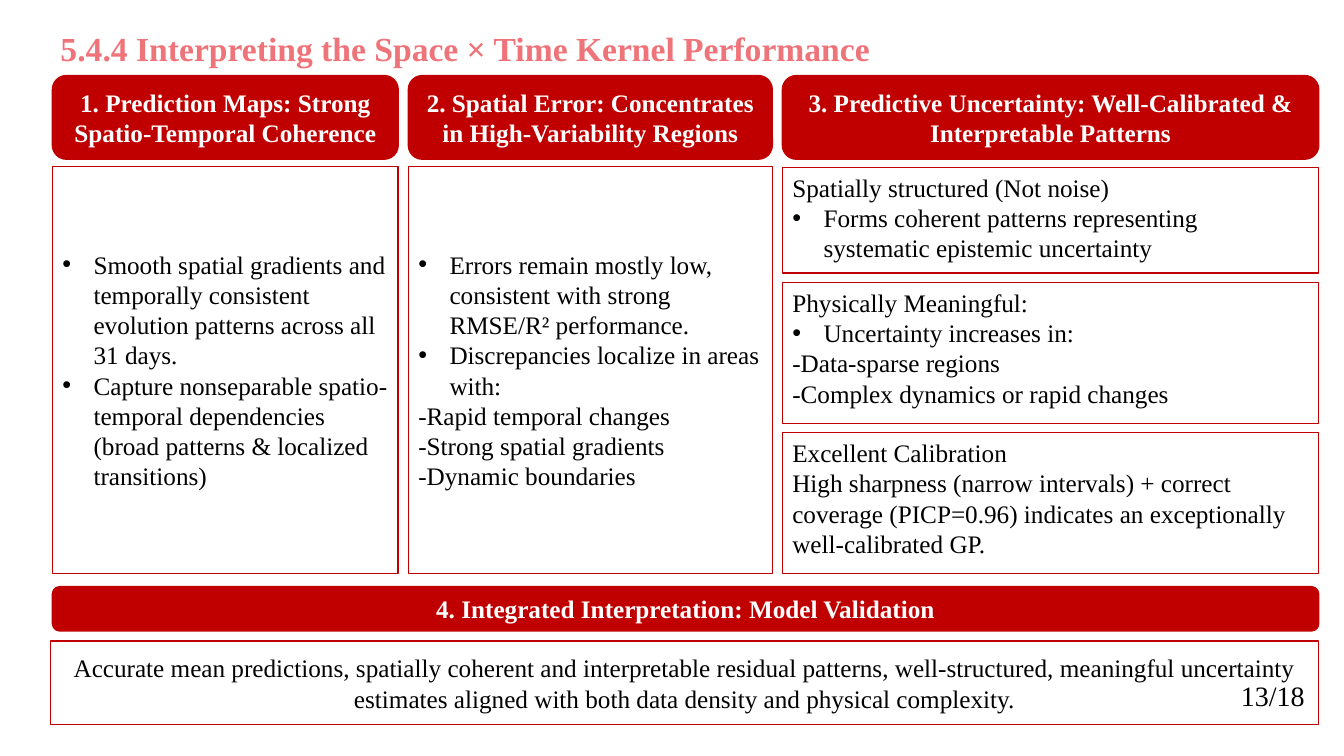
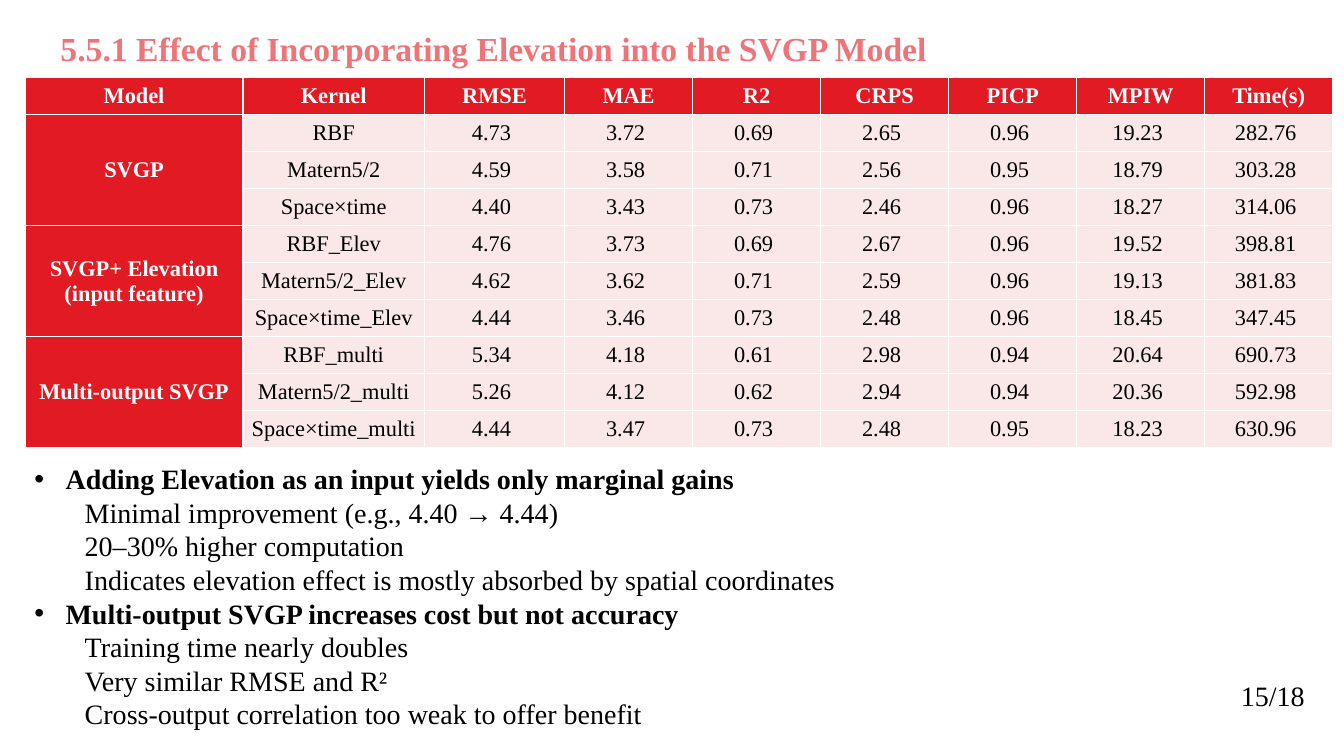
from dataclasses import dataclass

from lxml.etree import SubElement
from pptx import Presentation
from pptx.dml.color import RGBColor
from pptx.enum.shapes import MSO_SHAPE as Preset
from pptx.enum.text import MSO_ANCHOR as Anchor, MSO_AUTO_SIZE as AutoSize, PP_ALIGN as Align
from pptx.oxml.ns import qn
from pptx.util import Inches, Pt


@dataclass(frozen=True)
class Theme:
    font: str = "Times New Roman"
    title_color: str = "EF747A"
    band: str = "C00000"
    table_header: str = "E21A23"
    table_body: str = "FAE8E8"
    light: str = "FFFFFF"
    dark: str = "000000"
    title_size: int = 24
    list_size: int = 20
    box_size: int = 18
    table_size: int = 16
    line_width: int = 1


@dataclass(frozen=True)
class Line:
    text: str
    bullet: bool = False
    indent: float = 0
    bold: bool = False


THEME = Theme()
TITLE_ONLY, TITLE_AND_CONTENT = 5, 1
GAP = 0.1
LEFT = 0.52
COLUMN_WIDTHS = (3.43, 3.61, 5.32)
STACK_TOP, STACK_GAP = 1.66, 0.09
HEADER_TOP, HEADER_HEIGHT = 0.75, 0.83
PANEL_TOP, PANEL_HEIGHT = 1.65, 4.04

HEADERS = (
    "1. Prediction Maps: Strong Spatio-Temporal Coherence",
    "2. Spatial Error: Concentrates in High-Variability Regions",
    "3. Predictive Uncertainty: Well-Calibrated & Interpretable Patterns",
)
PANELS = (
    (
        Line("Smooth spatial gradients and temporally consistent evolution patterns across all 31 days.", bullet=True),
        Line("Capture nonseparable spatio-temporal dependencies (broad patterns & localized transitions)", bullet=True),
    ),
    (
        Line("Errors remain mostly low, consistent with strong RMSE/R² performance.", bullet=True),
        Line("Discrepancies localize in areas with:", bullet=True),
        Line("-Rapid temporal changes"),
        Line("-Strong spatial gradients"),
        Line("-Dynamic boundaries"),
    ),
)
UNCERTAINTY_PANELS = (
    (1.05, (
        Line("Spatially structured (Not noise)"),
        Line("Forms coherent patterns representing systematic epistemic uncertainty", bullet=True),
    )),
    (1.4, (
        Line("Physically Meaningful:"),
        Line("Uncertainty increases in:", bullet=True),
        Line("-Data-sparse regions"),
        Line("-Complex dynamics or rapid changes"),
    )),
    (1.4, (
        Line("Excellent Calibration"),
        Line("High sharpness (narrow intervals) + correct coverage (PICP=0.96) indicates "
             "an exceptionally well-calibrated GP."),
    )),
)
SUMMARY = (
    "Accurate mean predictions, spatially coherent and interpretable residual patterns, "
    "well-structured, meaningful uncertainty estimates aligned with both data density and physical complexity."
)

TABLE_HEADER = ("Model", "Kernel", "RMSE", "MAE", "R2", "CRPS", "PICP", "MPIW", "Time(s)")
TABLE_COLUMNS = (2.16, 1.8, 1.39) + (1.27,) * 6
TABLE_ROW_HEIGHT = 0.367
MODEL_RESULTS = {
    "SVGP": (
        ("RBF", "4.73", "3.72", "0.69", "2.65", "0.96", "19.23", "282.76"),
        ("Matern5/2", "4.59", "3.58", "0.71", "2.56", "0.95", "18.79", "303.28"),
        ("Space×time", "4.40", "3.43", "0.73", "2.46", "0.96", "18.27", "314.06"),
    ),
    "SVGP+ Elevation (input feature)": (
        ("RBF_Elev", "4.76", "3.73", "0.69", "2.67", "0.96", "19.52", "398.81"),
        ("Matern5/2_Elev", "4.62", "3.62", "0.71", "2.59", "0.96", "19.13", "381.83"),
        ("Space×time_Elev", "4.44", "3.46", "0.73", "2.48", "0.96", "18.45", "347.45"),
    ),
    "Multi-output SVGP": (
        ("RBF_multi", "5.34", "4.18", "0.61", "2.98", "0.94", "20.64", "690.73"),
        ("Matern5/2_multi", "5.26", "4.12", "0.62", "2.94", "0.94", "20.36", "592.98"),
        ("Space×time_multi", "4.44", "3.47", "0.73", "2.48", "0.95", "18.23", "630.96"),
    ),
}
FINDINGS = (
    Line("Adding Elevation as an input yields only marginal gains", bullet=True, bold=True),
    Line("Minimal improvement (e.g., 4.40 → 4.44)", indent=0.5),
    Line("20–30% higher computation", indent=0.5),
    Line("Indicates elevation effect is mostly absorbed by spatial coordinates", indent=0.5),
    Line("Multi-output SVGP increases cost but not accuracy", bullet=True, bold=True),
    Line("Training time nearly doubles", indent=0.5),
    Line("Very similar RMSE and R²", indent=0.5),
    Line("Cross-output correlation too weak to offer benefit", indent=0.5),
)


def rgb(color):
    return RGBColor.from_string(color)


def set_bullet(paragraph, line):
    properties = paragraph._p.get_or_add_pPr()
    hanging = 0.31 if line.bullet else 0
    properties.set("marL", str(Inches(hanging or line.indent)))
    properties.set("indent", str(-Inches(hanging)))
    if line.bullet:
        SubElement(properties, qn("a:buFont"), typeface="Arial")
        SubElement(properties, qn("a:buChar"), char="•")
    else:
        SubElement(properties, qn("a:buNone"))


def write_text(frame, content, size, color=THEME.dark, bold=False, align=Align.LEFT,
               anchor=Anchor.TOP, spacing=None):
    frame.word_wrap = True
    frame.auto_size = AutoSize.NONE
    frame.vertical_anchor = anchor
    lines = (Line(content),) if isinstance(content, str) else content
    for index, line in enumerate(lines):
        paragraph = frame.add_paragraph() if index else frame.paragraphs[0]
        paragraph.alignment = align
        paragraph.line_spacing = spacing
        paragraph.space_before = Pt(0)
        paragraph.level = 1 if line.indent else 0
        set_bullet(paragraph, line)
        run = paragraph.add_run()
        run.text = line.text
        run.font.name = THEME.font
        run.font.size = Pt(size)
        run.font.bold = bold or line.bold
        run.font.color.rgb = rgb(color)


def place(shape, left, top, width, height):
    shape.left, shape.top, shape.width, shape.height = map(Inches, (left, top, width, height))


def add_slide(presentation, layout, title):
    slide = presentation.slides.add_slide(presentation.slide_layouts[layout])
    place(slide.shapes.title, 0.5, 0.13, 12.33, 0.74)
    write_text(slide.shapes.title.text_frame, title, THEME.title_size, color=THEME.title_color,
               bold=True, anchor=Anchor.MIDDLE, spacing=0.9)
    return slide


def add_page_number(slide, text):
    box = slide.shapes.add_textbox(*map(Inches, (8.6, 6.68, 4.44, 0.44)))
    write_text(box.text_frame, text, THEME.list_size, align=Align.RIGHT)


def add_box(slide, preset, bounds, fill, content, **text_format):
    shape = slide.shapes.add_shape(preset, *map(Inches, bounds))
    shape.shadow.inherit = False
    shape.fill.solid()
    shape.fill.fore_color.rgb = rgb(fill)
    shape.line.color.rgb = rgb(THEME.band)
    shape.line.width = Pt(THEME.line_width)
    write_text(shape.text_frame, content, THEME.box_size, **text_format)


def add_band(slide, bounds, text):
    add_box(slide, Preset.ROUNDED_RECTANGLE, bounds, THEME.band, text, color=THEME.light,
            bold=True, align=Align.CENTER, anchor=Anchor.MIDDLE)


def add_panel(slide, bounds, content, **text_format):
    add_box(slide, Preset.RECTANGLE, bounds, THEME.light, content, **text_format)


def set_borders(cell):
    properties = cell._tc.get_or_add_tcPr()
    for side in ("lnL", "lnR", "lnT", "lnB"):
        border = SubElement(properties, qn(f"a:{side}"), w=str(Pt(THEME.line_width)))
        SubElement(SubElement(border, qn("a:solidFill")), qn("a:srgbClr"), val=THEME.light)


def format_cell(cell, text, heading, numeric):
    set_borders(cell)
    cell.fill.solid()
    cell.fill.fore_color.rgb = rgb(THEME.table_header if heading else THEME.table_body)
    cell.margin_left = Inches(0.07)
    cell.margin_right = Inches(0.13 if numeric else 0.07)
    cell.margin_top = cell.margin_bottom = Inches(0.05)
    cell.vertical_anchor = Anchor.MIDDLE
    if text:
        paragraph = cell.text_frame.paragraphs[0]
        paragraph.alignment = Align.CENTER
        run = paragraph.add_run()
        run.text = text
        run.font.name = THEME.font
        run.font.size = Pt(THEME.table_size)
        run.font.bold = heading
        run.font.color.rgb = rgb(THEME.light if heading else THEME.dark)


def add_results_table(slide):
    rows = [TABLE_HEADER]
    merges = []
    for model, results in MODEL_RESULTS.items():
        merges.append((len(rows), len(rows) + len(results) - 1))
        rows += [("" if index else model, *result) for index, result in enumerate(results)]
    bounds = (0.25, 0.77, sum(TABLE_COLUMNS), TABLE_ROW_HEIGHT * len(rows))
    table = slide.shapes.add_table(len(rows), len(TABLE_COLUMNS), *map(Inches, bounds)).table
    for column, width in zip(table.columns, TABLE_COLUMNS):
        column.width = Inches(width)
    for row_index, row in enumerate(rows):
        table.rows[row_index].height = Inches(TABLE_ROW_HEIGHT)
        for column_index, text in enumerate(row):
            heading = row_index == 0 or column_index == 0
            format_cell(table.cell(row_index, column_index), text, heading,
                        numeric=not heading and column_index > 1)
    for first, last in merges:
        table.cell(first, 0).merge(table.cell(last, 0))


def build_interpretation_slide(presentation):
    slide = add_slide(presentation, TITLE_ONLY, "5.4.4 Interpreting the Space × Time Kernel Performance")
    lefts = [LEFT + sum(COLUMN_WIDTHS[:index]) + GAP * index for index in range(len(COLUMN_WIDTHS))]
    for left, width, header in zip(lefts, COLUMN_WIDTHS, HEADERS):
        add_band(slide, (left, HEADER_TOP, width, HEADER_HEIGHT), header)
    for left, width, lines in zip(lefts, COLUMN_WIDTHS, PANELS):
        add_panel(slide, (left, PANEL_TOP, width, PANEL_HEIGHT), lines, anchor=Anchor.MIDDLE)
    top = STACK_TOP
    for height, lines in UNCERTAINTY_PANELS:
        add_panel(slide, (lefts[-1], top, COLUMN_WIDTHS[-1], height), lines)
        top += height + STACK_GAP
    add_band(slide, (LEFT, 5.82, 12.56, 0.44), "4. Integrated Interpretation: Model Validation")
    add_panel(slide, (0.5, 6.36, 12.58, 0.83), SUMMARY, align=Align.CENTER, anchor=Anchor.MIDDLE)
    add_page_number(slide, "13/18")


def build_elevation_slide(presentation):
    slide = add_slide(presentation, TITLE_AND_CONTENT,
                      "5.5.1 Effect of Incorporating Elevation into the SVGP Model")
    add_results_table(slide)
    body = slide.placeholders[1]
    place(body, 0.24, 4.53, 10.68, 2.79)
    write_text(body.text_frame, FINDINGS, THEME.list_size)
    add_page_number(slide, "15/18")


def main():
    presentation = Presentation()
    presentation.slide_width = Inches(13.33)
    presentation.slide_height = Inches(7.5)
    build_interpretation_slide(presentation)
    build_elevation_slide(presentation)
    presentation.save("out.pptx")


if __name__ == "__main__":
    main()
